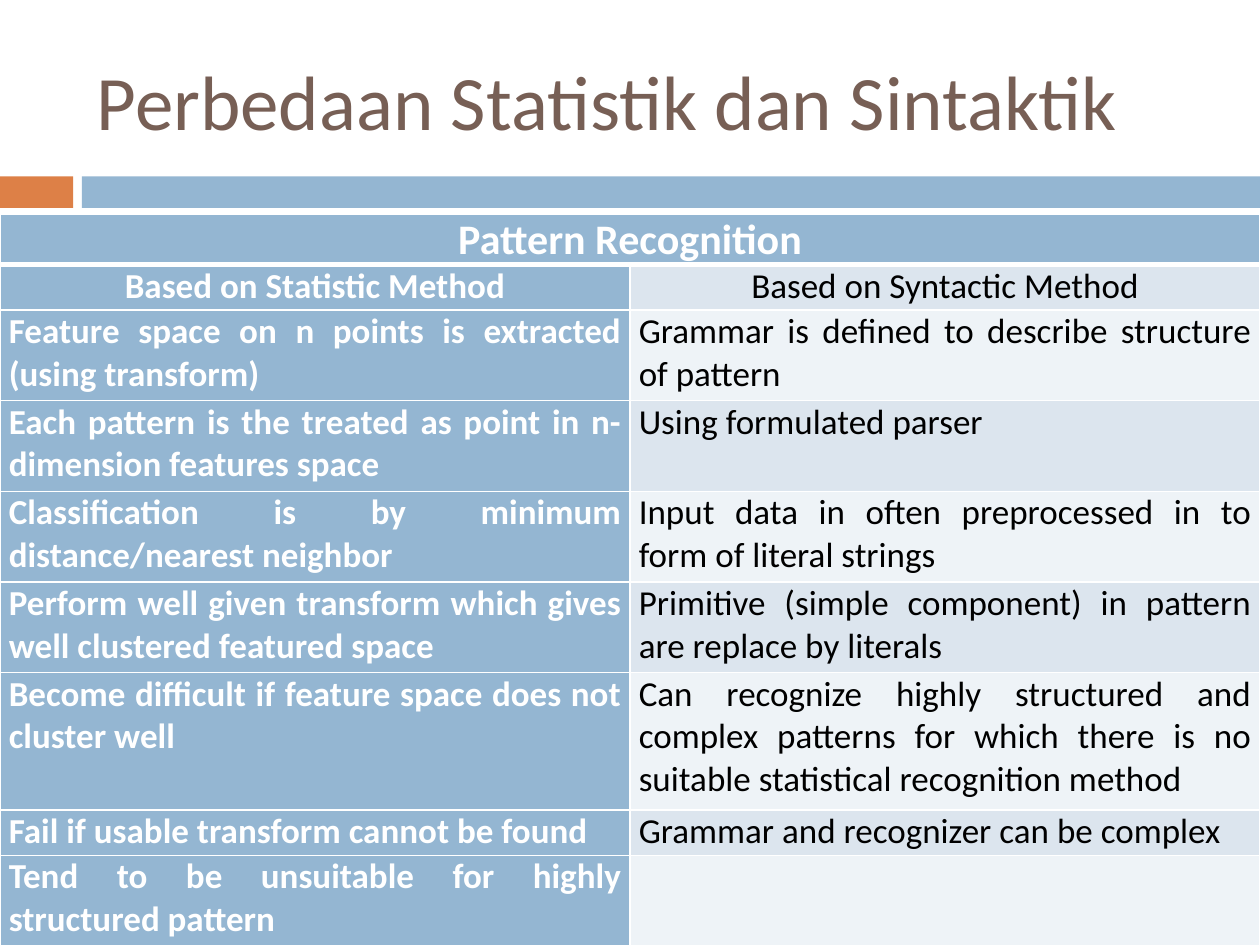
from lxml.etree import SubElement
from pptx import Presentation
from pptx.dml.color import RGBColor
from pptx.enum.shapes import MSO_SHAPE
from pptx.enum.text import MSO_ANCHOR, PP_ALIGN
from pptx.oxml.ns import qn
from pptx.util import Inches, Pt

TITLE = "Perbedaan Statistik dan Sintaktik"
HEADING = "Pattern Recognition"
ROWS = [
    ("Based on Statistic Method", "Based on Syntactic Method", 0.36),
    ("Feature space on n points is extracted (using transform)",
     "Grammar is defined to describe structure of pattern", 0.72),
    ("Each pattern is the treated as point in n-dimension features space",
     "Using formulated parser", 0.72),
    ("Classification is by minimum distance/nearest neighbor",
     "Input data in often preprocessed in to form of literal strings", 0.72),
    ("Perform well given transform which gives well clustered featured space",
     "Primitive (simple component) in pattern are replace by literals", 0.72),
    ("Become difficult if feature space does not cluster well",
     "Can recognize highly structured and complex patterns for which there is "
     "no suitable statistical recognition method", 1.09),
    ("Fail if usable transform cannot be found",
     "Grammar and recognizer can be complex", 0.36),
    ("Tend to be unsuitable for highly structured pattern", "", 0.72),
]

FONT = "Calibri"
BLUE = RGBColor(0x94, 0xB6, 0xD2)
ORANGE = RGBColor(0xDD, 0x80, 0x47)
BROWN = RGBColor(0x77, 0x5F, 0x55)
BLACK = RGBColor(0, 0, 0)
WHITE = RGBColor(0xFF, 0xFF, 0xFF)
BANDS = [RGBColor(0xDC, 0xE5, 0xEE), RGBColor(0xEE, 0xF3, 0xF7)]

WIDTH, HEIGHT = 10, 7.5
BAR_TOP, BAR_HEIGHT = 1.4, 0.25
BARS = [(0, 0.58, ORANGE), (0.65, WIDTH - 0.65, BLUE)]
TABLE_TOP, HEADING_HEIGHT = 1.7, 0.36


def write(tf, text, size, color, bold=False, align=PP_ALIGN.LEFT):
    p = tf.paragraphs[0]
    p.alignment = align
    target = p.add_run() if text else p
    if text:
        target.text = text
    for name, value in {"name": FONT, "size": Pt(size), "bold": bold}.items():
        setattr(target.font, name, value)
    target.font.color.rgb = color


def add_borders(cell, bottom=1):
    pr = cell._tc.get_or_add_tcPr()
    widths = {"a:lnL": 1, "a:lnR": 1, "a:lnT": 1, "a:lnB": bottom}
    for i, (tag, width) in enumerate(widths.items()):
        ln = SubElement(pr, qn(tag), w=str(Pt(width)))
        fill = SubElement(ln, qn("a:solidFill"))
        SubElement(fill, qn("a:srgbClr"), val=str(WHITE))
        pr.insert(i, ln)


def fill_cell(cell, text, fill, size, color, bold, align, bottom=1):
    margins = {"margin_left": 0.07, "margin_right": 0.07,
               "margin_top": 0, "margin_bottom": 0}
    for name, value in margins.items():
        setattr(cell, name, Inches(value))
    cell.fill.solid()
    cell.fill.fore_color.rgb = fill
    write(cell.text_frame, text, size, color, bold, align)
    add_borders(cell, bottom)


def add_bars(slide):
    for left, width, color in BARS:
        sp = slide.shapes.add_shape(
            MSO_SHAPE.RECTANGLE, Inches(left), Inches(BAR_TOP),
            Inches(width), Inches(BAR_HEIGHT))
        sp.shadow.inherit = False
        sp.fill.solid()
        sp.fill.fore_color.rgb = color
        sp.line.fill.background()


def add_title(slide):
    box = slide.shapes.add_textbox(
        Inches(0.67), Inches(0.25), Inches(8.92), Inches(1.08))
    tf = box.text_frame
    tf.word_wrap = True
    tf.vertical_anchor = MSO_ANCHOR.MIDDLE
    write(tf, TITLE, 44, BROWN)


def add_comparison(slide):
    heights = [HEADING_HEIGHT] + [row[2] for row in ROWS]
    table = slide.shapes.add_table(
        len(heights), 2, 0, Inches(TABLE_TOP),
        Inches(WIDTH), Inches(sum(heights))).table
    for row, height in zip(table.rows, heights):
        row.height = Inches(height)
    table.cell(0, 0).merge(table.cell(0, 1))
    for c, text in enumerate((HEADING, "")):
        fill_cell(table.cell(0, c), text, BLUE, 24, WHITE, True,
                  PP_ALIGN.CENTER, 3)
    for r, (statistic, syntactic, _) in enumerate(ROWS):
        align = PP_ALIGN.JUSTIFY if r else PP_ALIGN.CENTER
        fill_cell(table.cell(r + 1, 0), statistic, BLUE, 20, WHITE, True, align)
        fill_cell(table.cell(r + 1, 1), syntactic, BANDS[r % 2], 20, BLACK,
                  False, align)


def main():
    prs = Presentation()
    prs.slide_width, prs.slide_height = Inches(WIDTH), Inches(HEIGHT)
    slide = prs.slides.add_slide(prs.slide_layouts[6])
    add_bars(slide)
    add_title(slide)
    add_comparison(slide)
    prs.save("out.pptx")


if __name__ == "__main__":
    main()
